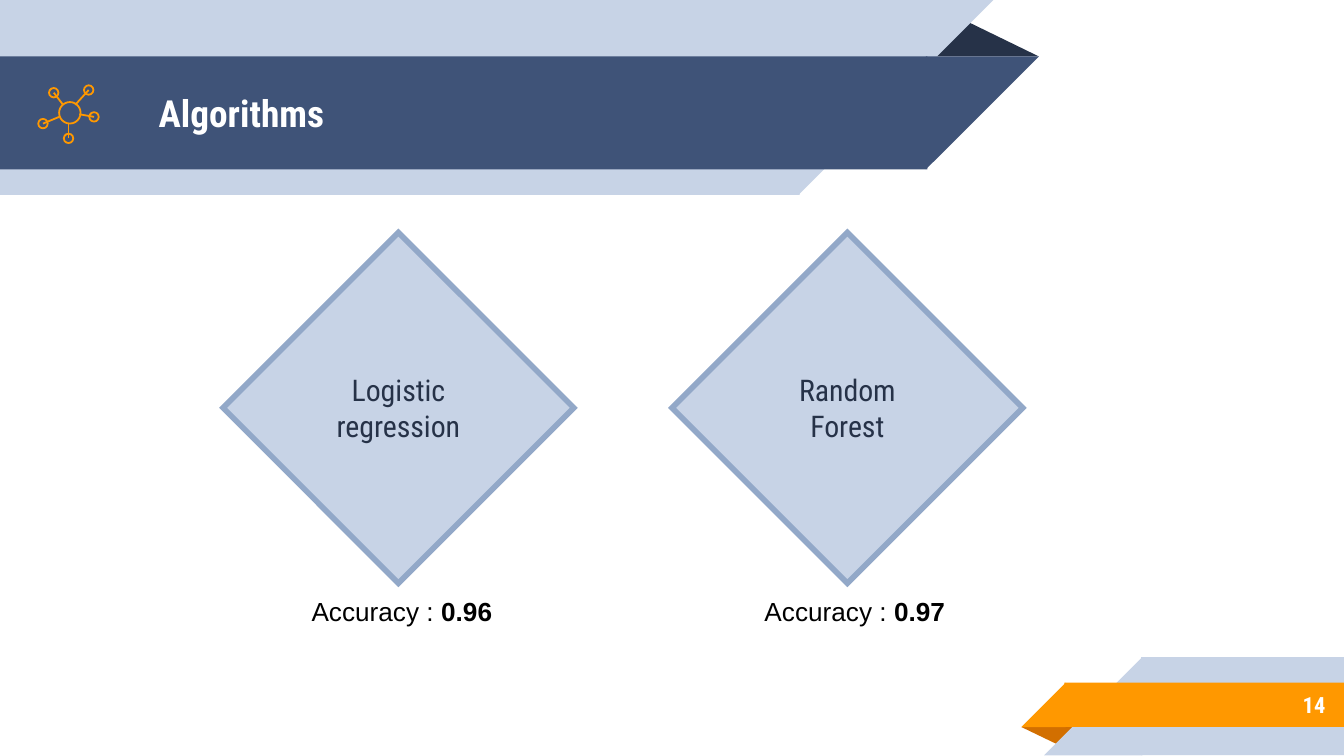
from lxml import etree
from pptx import Presentation
from pptx import util as u
from pptx.dml.color import RGBColor
from pptx.enum import shapes, text
from pptx.oxml import ns

PALE = RGBColor(0xC7, 0xD3, 0xE6)
BLUE = RGBColor(0x3F, 0x53, 0x78)
NAVY = RGBColor(0x26, 0x32, 0x48)
EDGE = RGBColor(0x92, 0xA8, 0xC8)
ORANGE = RGBColor(0xFF, 0x98, 0x00)
RUST = RGBColor(0xD2, 0x6F, 0x00)
WHITE = RGBColor(0xFF, 0xFF, 0xFF)
BLACK = RGBColor(0, 0, 0)
HEADING = "Roboto Condensed"
KIND = shapes.MSO_SHAPE
NODE = 0.07
OVERLAP = 0.01

deck = Presentation()
deck.slide_width = u.Inches(10)
deck.slide_height = u.Inches(10) * 9 // 16
page = deck.slides.add_slide(deck.slide_layouts[5])


def add_shape(kind, left, top, width, height, fill=None, line=None, weight=1):
    shape = page.shapes.add_shape(
        kind, u.Inches(left), u.Inches(top), u.Inches(width), u.Inches(height))
    shape.shadow.inherit = False
    if fill is None:
        shape.fill.background()
    else:
        shape.fill.solid()
        shape.fill.fore_color.rgb = fill
    if line is None:
        shape.line.fill.background()
    else:
        shape.line.color.rgb = line
        shape.line.width = u.Pt(weight)
    return shape


def add_run(para, words, size, font, color, bold=False):
    span = para.add_run()
    span.text = words
    span.font.size = u.Pt(size)
    span.font.name = font
    span.font.color.rgb = color
    span.font.bold = bold


header_fold = add_shape(KIND.ISOSCELES_TRIANGLE, 6.88, 0.14, 0.85, 0.28, NAVY)
header_fold.adjustments[0] = 0.324
for top, width, height, color in [(0, 5.94, 1.45, PALE), (0.42, 6.89, 0.84, BLUE)]:
    add_shape(KIND.RECTANGLE, 0, top, width + OVERLAP, height, color)
    slant = add_shape(KIND.RIGHT_TRIANGLE, width, top, height, height, color)
    slant.rotation = 180
    slant._element.spPr.xfrm.set("flipH", "1")

footer_fold = add_shape(KIND.ISOSCELES_TRIANGLE, 7.6, 5.41, 0.43, 0.14, RUST)
footer_fold.adjustments[0] = 0.324
footer_fold.rotation = 180
for left, top, height, color in [(8.5, 4.89, 0.73, PALE), (7.93, 5.08, 0.33, ORANGE)]:
    add_shape(KIND.RECTANGLE, left - OVERLAP, top, 10 - left + OVERLAP, height, color)
    slant = add_shape(KIND.RIGHT_TRIANGLE, left - height, top, height, height, color)
    slant._element.spPr.xfrm.set("flipH", "1")

title = page.shapes.title
page.shapes._spTree.append(title._element)
title.left, title.top = u.Inches(1.08), u.Inches(0.42)
title.width, title.height = u.Inches(2.27), u.Inches(0.84)
title.text_frame.auto_size = text.MSO_AUTO_SIZE.NONE
title.text_frame.vertical_anchor = text.MSO_ANCHOR.MIDDLE
para = title.text_frame.paragraphs[0]
para.alignment = text.PP_ALIGN.LEFT
add_run(para, "Algorithms", 20, HEADING, WHITE, True)

number = page.shapes.add_textbox(
    u.Inches(8.33), u.Inches(5.07), u.Inches(1.63), u.Inches(0.35))
number.text_frame.word_wrap = True
number.text_frame.vertical_anchor = text.MSO_ANCHOR.MIDDLE
para = number.text_frame.paragraphs[0]
para.alignment = text.PP_ALIGN.RIGHT
add_run(para, "14", 12, HEADING, WHITE, True)

add_shape(KIND.OVAL, 0.44, 0.76, 0.16, 0.16, line=ORANGE, weight=0.96)
icon_links = [
    (0.66, 0.67, 0.56, 0.78),
    (0.4, 0.69, 0.47, 0.78),
    (0.32, 0.92, 0.44, 0.87),
    (0.51, 1.03, 0.51, 0.92),
    (0.7, 0.87, 0.59, 0.85),
]
for node_x, node_y, hub_x, hub_y in icon_links:
    add_shape(KIND.OVAL, node_x - NODE / 2, node_y - NODE / 2, NODE, NODE,
              line=ORANGE, weight=0.96)
    link = page.shapes.add_connector(
        shapes.MSO_CONNECTOR.STRAIGHT, u.Inches(node_x), u.Inches(node_y),
        u.Inches(hub_x), u.Inches(hub_y))
    link.line.color.rgb = ORANGE
    link.line.width = u.Pt(0.96)
    etree.SubElement(link._element.spPr, ns.qn("a:effectLst"))

algorithms = [
    ("Logistic regression", 1.66, "0.96", 2.22, 1.6),
    ("Random Forest", 5, "0.97", 5.59, 1.97),
]
for name, left, accuracy, label_left, label_width in algorithms:
    diamond = add_shape(KIND.DIAMOND, left, 1.73, 2.61, 2.61, PALE, EDGE, 3)
    corner = etree.SubElement(diamond.line._get_or_add_ln(), ns.qn("a:miter"))
    corner.set("lim", "800000")
    frame = diamond.text_frame
    frame.word_wrap = True
    frame.vertical_anchor = text.MSO_ANCHOR.MIDDLE
    frame.margin_top = frame.margin_bottom = u.Inches(0.1)
    para = frame.paragraphs[0]
    para.alignment = text.PP_ALIGN.CENTER
    add_run(para, name, 16, HEADING, NAVY)

    label = page.shapes.add_textbox(
        u.Inches(label_left), u.Inches(4.38), u.Inches(label_width), u.Inches(0.34))
    label.text_frame.word_wrap = True
    para = label.text_frame.paragraphs[0]
    add_run(para, "Accuracy : ", 14, "Arial", BLACK)
    add_run(para, accuracy, 14, "Arial", BLACK, True)

deck.save("out.pptx")
